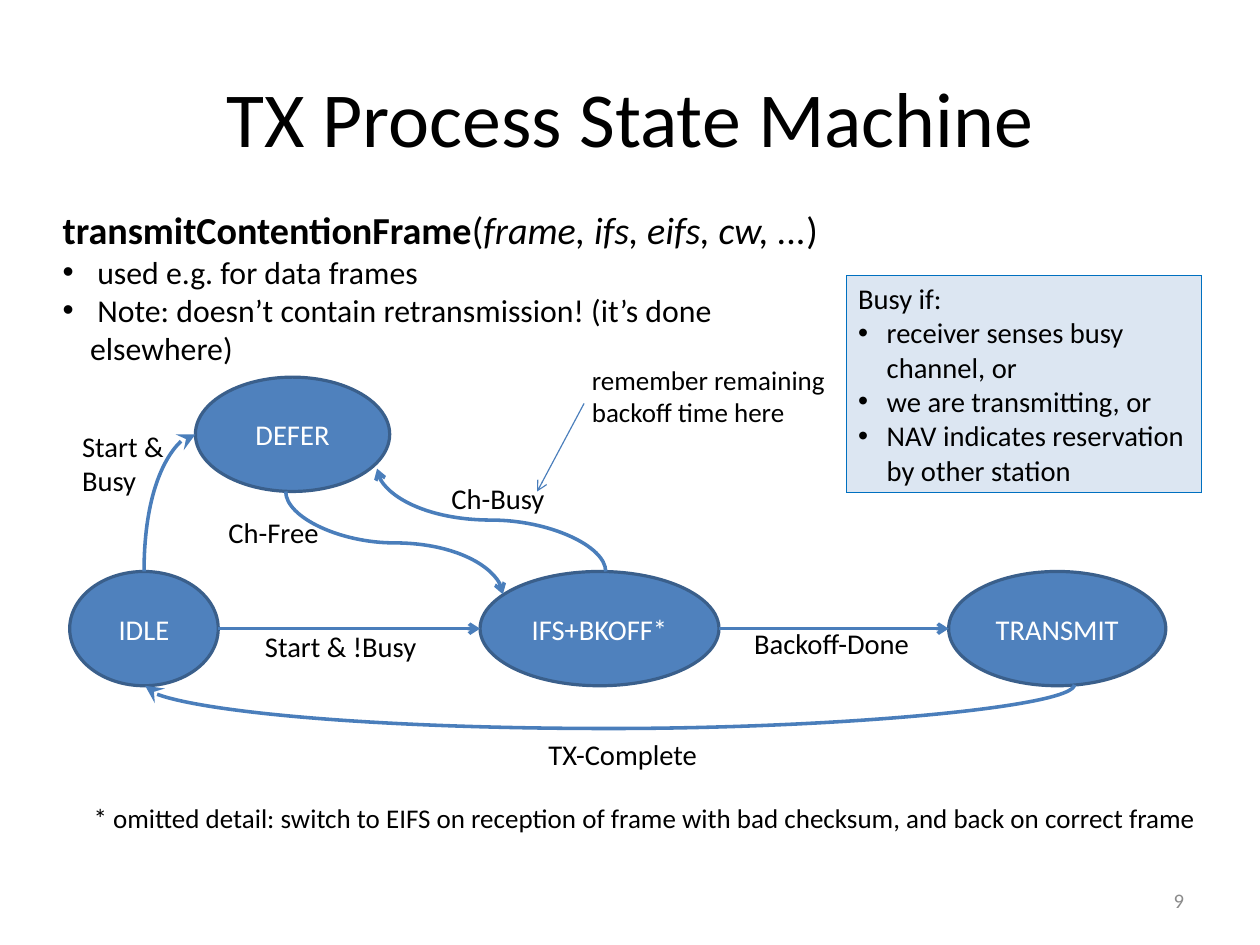
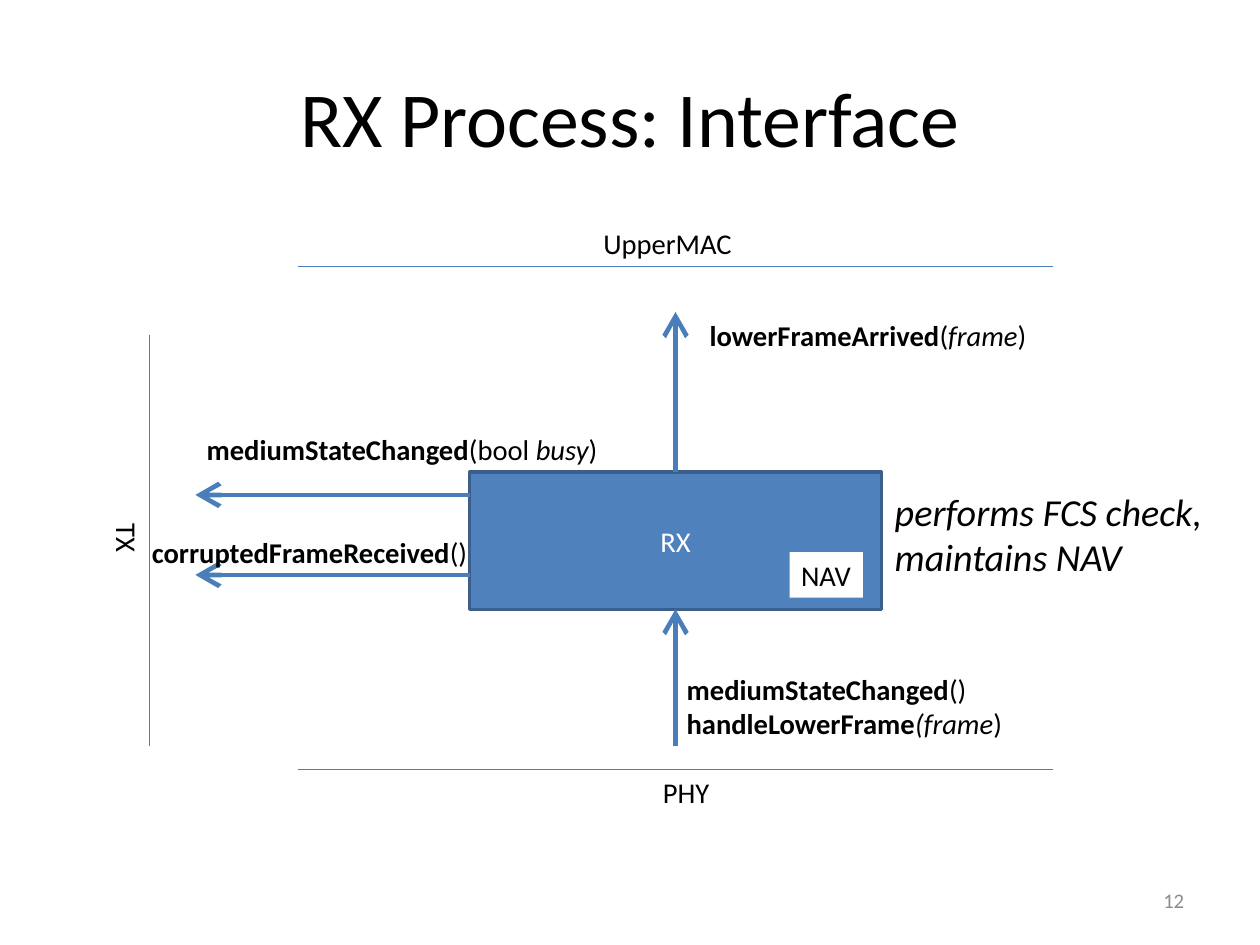
import pptx
import pptx.util
import pptx.dml.color
import pptx.enum.shapes
import pptx.enum.text
import pptx.oxml
import pptx.oxml.ns
import lxml.etree

Inches = pptx.util.Inches
Pt = pptx.util.Pt
RGBColor = pptx.dml.color.RGBColor
SHAPE = pptx.enum.shapes.MSO_SHAPE
LINK = pptx.enum.shapes.MSO_CONNECTOR
ALIGN = pptx.enum.text.PP_ALIGN
ANCHOR = pptx.enum.text.MSO_ANCHOR
FIT = pptx.enum.text.MSO_AUTO_SIZE
qn = pptx.oxml.ns.qn

BLACK = RGBColor(0x00, 0x00, 0x00)
WHITE = RGBColor(0xFF, 0xFF, 0xFF)
GRAY = RGBColor(0x8B, 0x8B, 0x8B)
BLUE = RGBColor(0x4F, 0x81, 0xBD)
EDGE = RGBColor(0x3A, 0x5F, 0x8B)
WIRE = RGBColor(0x4A, 0x7E, 0xBB)
PALE = RGBColor(0xDC, 0xE6, 0xF2)
RIM = RGBColor(0x00, 0x70, 0xC0)
FONT = "Calibri"


def bullet(para, hang):
    """Give a paragraph a hanging round bullet."""
    props = para._p.get_or_add_pPr()
    props.set("marL", str(Inches(hang)))
    props.set("indent", str(-Inches(hang)))
    lxml.etree.SubElement(props, qn("a:buFont"), typeface="Arial")
    lxml.etree.SubElement(props, qn("a:buChar"), char="•")


def write(frame, paras, size=18, color=BLACK, align=ALIGN.LEFT, hang=0, sizes=None):
    """Fill a frame; a paragraph is a string or a list of (text, style) runs."""
    for i, runs in enumerate(paras):
        para = frame.paragraphs[0] if i == 0 else frame.add_paragraph()
        para.alignment = align
        if hang and i:
            bullet(para, hang)
        for words, style in [(runs, "")] if isinstance(runs, str) else runs:
            for j, line in enumerate(words.split("\n")):
                if j:
                    para.add_line_break()
                run = para.add_run()
                run.text = line
                font = run.font
                font.name = FONT
                font.size = Pt(sizes[i] if sizes else size)
                font.color.rgb = color
                font.bold = "b" in style
                font.italic = "i" in style


def text(slide, box, *paras, wrap=False, fill=None, line=None, turn=0, **form):
    """Add a text box."""
    shape = slide.shapes.add_textbox(*map(Inches, box))
    shape.rotation = turn
    frame = shape.text_frame
    frame.word_wrap = wrap
    frame.auto_size = FIT.SHAPE_TO_FIT_TEXT
    if fill is not None:
        shape.fill.solid()
        shape.fill.fore_color.rgb = fill
    if line is not None:
        shape.line.color.rgb = line
        shape.line.width = Pt(0)
    write(frame, paras, **form)
    return shape


def block(slide, kind, box, label):
    """Add a blue shape with a centred white label."""
    shape = slide.shapes.add_shape(kind, *map(Inches, box))
    shape.shadow.inherit = False
    shape.fill.solid()
    shape.fill.fore_color.rgb = BLUE
    shape.line.color.rgb = EDGE
    shape.line.width = Pt(2)
    frame = shape.text_frame
    frame.vertical_anchor = ANCHOR.MIDDLE
    write(frame, [label], color=WHITE, align=ALIGN.CENTER)


def wire(slide, start, end, width=0.75, head=None, kind=LINK.STRAIGHT, grade="med"):
    """Add a line, with an arrowhead at its end if one is named."""
    link = slide.shapes.add_connector(kind, *map(Inches, (*start, *end)))
    link.line.color.rgb = WIRE
    link.line.width = Pt(width)
    if head:
        lxml.etree.SubElement(link.line._get_or_add_ln(), qn("a:tailEnd"),
                              type=head, w=grade, len=grade)
    props = link._element.spPr
    lxml.etree.SubElement(props, qn("a:effectLst"))
    return props


def curve(slide, start, end, head="arrow", bend=0.5, preset="curvedConnector3",
          grade="med"):
    """Add a curved arrow that leaves its start vertically."""
    (x1, y1), (x2, y2) = start, end
    mx, my = (x1 + x2) / 2, (y1 + y2) / 2
    dx, dy = (x2 - x1) / 2, (y2 - y1) / 2
    props = wire(slide, (mx - dy, my + dx), (mx + dy, my - dx), 2.25, head,
                 LINK.CURVE, grade)
    props.find(qn("a:xfrm")).set("rot", "5400000")
    geom = props.find(qn("a:prstGeom"))
    geom.set("prst", preset)
    if preset == "curvedConnector3":
        guides = geom.find(qn("a:avLst"))
        if guides is None:
            guides = lxml.etree.SubElement(geom, qn("a:avLst"))
        lxml.etree.SubElement(guides, qn("a:gd"), name="adj1",
                              fmla=f"val {round(bend * 100000)}")


def inset(frame):
    """Set the margins and anchor of titles and page numbers."""
    frame.margin_left = frame.margin_right = Inches(0.11)
    frame.margin_top = frame.margin_bottom = Inches(0.06)
    frame.vertical_anchor = ANCHOR.MIDDLE
    frame.word_wrap = True
    frame.auto_size = FIT.NONE


def page(deck, title, number):
    """Add a slide with its title and page number."""
    slide = deck.slides.add_slide(deck.slide_layouts[5])
    head = slide.shapes.title
    head.left, head.top, head.width, head.height = map(Inches, (0.55, 0.33, 9.92, 1.38))
    inset(head.text_frame)
    write(head.text_frame, [title], size=49, align=ALIGN.CENTER)
    foot = text(slide, (7.9, 7.66, 2.57, 0.44), number, size=13, color=GRAY,
                align=ALIGN.RIGHT)
    inset(foot.text_frame)
    return slide


def notes(slide, x, y):
    """Place the function signature and the busy conditions."""
    text(slide, (x, y, 7.05, 1.17),
         [("transmitContentionFrame", "b"), ("(", ""),
          ("frame, ifs, eifs, cw, ...", "i"), (")", "")],
         " used e.g. for data frames",
         " Note: doesn’t contain retransmission! (it’s done elsewhere)",
         wrap=True, hang=0.24, sizes=(24, 20, 20))
    text(slide, (x + 6.96, y + 0.65, 3.1, 1.9), "Busy if:",
         "receiver senses busy channel, or", "we are transmitting, or",
         "NAV indicates reservation by other station",
         wrap=True, hang=0.25, fill=PALE, line=RIM)


def states(slide, x, y):
    """Place the state diagram with its arrows and labels."""
    def at(dx, dy):
        return x + dx, y + dy

    row, mid = 1.7, 2.2
    nodes = [("IDLE", 0, row, 1.3), ("IFS+BKOFF*", 3.59, row, 2.09),
             ("TRANSMIT", 7.69, row, 1.9), ("DEFER", 1.1, 0, 1.7)]
    for name, dx, dy, wide in nodes:
        block(slide, SHAPE.OVAL, (*at(dx, dy), wide, 1), name)
    for (_, left, _, wide), (_, right, _, _) in zip(nodes[:2], nodes[1:3]):
        wire(slide, at(left + wide, mid), at(right, mid), 2.25, "arrow")
    curve(slide, at(1.89, 1), at(3.79, 1.9))
    curve(slide, at(4.69, row), at(2.69, 0.8))
    curve(slide, at(0.65, row), at(1.1, 0.5), "stealth", preset="curvedConnector2",
          grade="lg")
    curve(slide, at(8.79, 2.69), at(0.66, 2.7), "stealth", bend=39, grade="lg")
    labels = [("Start & !Busy", 1.61, 2.15, 1.6, 0.4),
              ("TX-Complete", 4.09, 3.1, 1.5, 0.4),
              ("Backoff-Done", 5.89, 2.13, 1.56, 0.4),
              ("Ch-Busy", 3.24, 0.86, 1.02, 0.4),
              ("Start &\nBusy", 0.01, 0.4, 1, 0.7),
              ("Ch-Free", 1.29, 1.16, 0.99, 0.4)]
    for words, dx, dy, wide, high in labels:
        text(slide, (*at(dx, dy), wide, high), words)
    text(slide, (*at(0.11, 3.66), 9.84, 0.38),
         "* omitted detail: switch to EIFS on reception of frame with bad checksum, "
         "and back on correct frame", size=17)
    wire(slide, at(4.5, 0.23), at(4.09, 1), 0.75, "arrow")
    text(slide, (*at(4.47, -0.17), 2.24, 0.67),
         "remember remaining\nbackoff time here", size=17)


def ports(slide, x, y):
    """Place the RX block, its neighbours and the calls between them."""
    def at(dx, dy):
        return x + dx, y + dy

    block(slide, SHAPE.RECTANGLE, (*at(2.8, 2.2), 3.6, 1.2), "RX")
    arrows = [((4.6, 2.2), (4.6, 0.8)), ((4.6, 4.6), (4.6, 3.4)),
              ((2.8, 2.4), (0.4, 2.4)), ((2.8, 3.1), (0.4, 3.1))]
    for start, end in arrows:
        wire(slide, at(*start), at(*end), 3, "arrow", grade="lg")
    edges = [((1.3, 0.4), (7.9, 0.4)), ((1.3, 4.8), (7.9, 4.8)), ((0, 1), (0, 4.6))]
    for start, end in edges:
        wire(slide, at(*start), at(*end))
    text(slide, (*at(3.87, 0), 1.33, 0.4), "UpperMAC")
    text(slide, (*at(4.39, 4.8), 0.61, 0.4), "PHY")
    text(slide, (*at(-0.42, 2.58), 0.45, 0.4), "TX", turn=90)
    calls = [
        ((4.8, 0.8), 3.6, 0.4,
         [[("lowerFrameArrived", "b"), ("(", ""), ("frame", "i"), (")", "")]]),
        ((4.6, 3.9), 3, 0.7,
         [[("mediumStateChanged", "b"), ("()", "")],
          [("handleLowerFrame", "b"), ("(frame", "i"), (")", "")]]),
        ((0.4, 1.8), 3.7, 0.4,
         [[("mediumStateChanged", "b"), ("(bool ", ""), ("busy", "i"), (")", "")]]),
        ((-0.08, 2.7), 3, 0.4, [[("corruptedFrameReceived", "b"), ("()", "")]]),
    ]
    for spot, wide, high, paras in calls:
        text(slide, (*at(*spot), wide, high), *paras, wrap=True)
    text(slide, (*at(5.6, 2.9), 0.64, 0.4), "NAV", fill=WHITE)
    text(slide, (*at(6.42, 2.29), 2.97, 0.9),
         [("performs FCS check, \nmaintains NAV", "i")], size=24)


def main():
    """Build and save both slides."""
    deck = pptx.Presentation()
    deck.slide_width = Inches(28 / 2.54)
    deck.slide_height = Inches(21 / 2.54)
    slide = page(deck, "TX Process State Machine", "9")
    notes(slide, 0.45, 1.76)
    states(slide, 0.61, 3.3)
    slide = page(deck, "RX Process: Interface", "12")
    ports(slide, 1.31, 1.93)
    deck.save("out.pptx")


if __name__ == "__main__":
    main()
